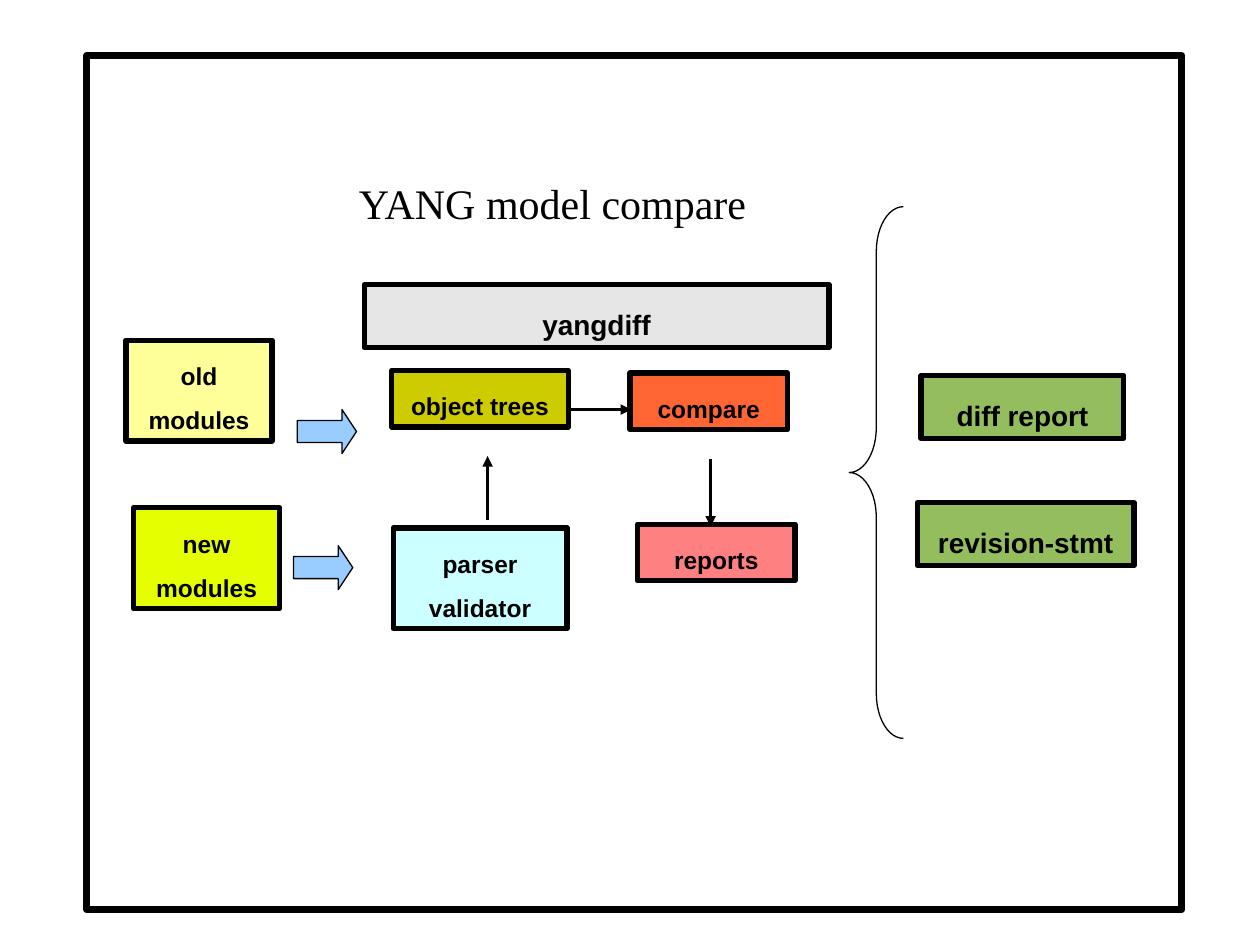
from lxml.etree import SubElement
from pptx import Presentation
from pptx.dml.color import RGBColor
from pptx.enum.shapes import MSO_CONNECTOR, MSO_SHAPE
from pptx.enum.text import MSO_ANCHOR, PP_ALIGN
from pptx.oxml.ns import qn
from pptx.util import Inches, Pt

BLACK = "000000"
SMALL, LARGE = 14, 16

FRAME = (0.69, 0.44, 8.69, 6.78)
TITLE = ("YANG model compare", (2.75, 1.36, 3.31, 0.5))
# lines of text, place, fill, text size
BOXES = [
    (["yangdiff"], (2.89, 2.26, 3.69, 0.5), "E6E6E6", LARGE),
    (["old", "modules"], (1, 2.7, 1.16, 0.8), "FFFF99", SMALL),
    (["new", "modules"], (1.06, 4.03, 1.16, 0.8), "E6FF00", SMALL),
    (["parser", "validator"], (3.12, 4.19, 1.38, 0.8), "CCFFFF", SMALL),
    (["object trees"], (3.11, 2.94, 1.4, 0.45), "CCCC00", SMALL),
    (["reports"], (5.06, 4.16, 1.25, 0.45), "FF8080", SMALL),
    (["compare"], (5, 2.96, 1.25, 0.45), "FF6633", SMALL),
    (["diff report"], (7.31, 2.98, 1.61, 0.5), "94BD5E", LARGE),
    (["revision-stmt"], (7.28, 3.99, 1.72, 0.5), "94BD5E", LARGE),
]
BLOCK_ARROWS = [(2.36, 3.25, 0.47, 0.35), (2.33, 4.33, 0.47, 0.35)]
BRACE = (6.74, 1.64, 0.43, 4.22)
# start x, y and end x, y; the arrowhead is at the end
FLOW = [
    (3.87, 4.13, 3.87, 3.62),
    (4.51, 3.25, 5.01, 3.25),
    (5.64, 3.64, 5.64, 4.18),
]


def rgb(color):
    return RGBColor.from_string(color)


def add_shape(s, kind, place, fill=None, width=0, adjust=()):
    sp = s.shapes.add_shape(kind, *map(Inches, place))
    sp.shadow.inherit = False
    if fill:
        sp.fill.solid()
        sp.fill.fore_color.rgb = rgb(fill)
    else:
        sp.fill.background()
    sp.line.color.rgb = rgb(BLACK)
    sp.line.width = Pt(width)
    for i, value in enumerate(adjust):
        sp.adjustments[i] = value
    return sp


def add_run(p, text, size, font, bold=False):
    r = p.add_run()
    r.text = text
    r.font.size = Pt(size)
    r.font.name = font
    r.font.bold = bold
    r.font.color.rgb = rgb(BLACK)


def add_box(s, lines, place, fill, size):
    tf = add_shape(s, MSO_SHAPE.RECTANGLE, place, fill, width=3).text_frame
    tf.word_wrap = True
    tf.vertical_anchor = MSO_ANCHOR.TOP
    p = tf.paragraphs[0]
    p.alignment = PP_ALIGN.CENTER
    p.line_spacing = 1.5
    for i, line in enumerate(lines):
        if i:
            p.add_line_break()
        add_run(p, line, size, "Arial", bold=True)


def add_arrow(s, ends):
    c = s.shapes.add_connector(MSO_CONNECTOR.STRAIGHT, *map(Inches, ends))
    c.line.color.rgb = rgb(BLACK)
    c.line.width = Pt(0)
    SubElement(c.line._get_or_add_ln(), qn("a:tailEnd"), type="triangle")
    SubElement(c._element.spPr, qn("a:effectLst"))


def main():
    prs = Presentation()
    prs.slide_width, prs.slide_height = Inches(10), Inches(7.5)
    s = prs.slides.add_slide(prs.slide_layouts[6])

    add_shape(s, MSO_SHAPE.RECTANGLE, FRAME, "FFFFFF", width=4)
    text, place = TITLE
    tf = s.shapes.add_textbox(*map(Inches, place)).text_frame
    tf.word_wrap = False
    add_run(tf.paragraphs[0], text, 24, "Times New Roman")

    for box in BOXES:
        add_box(s, *box)
    for place in BLOCK_ARROWS:
        add_shape(s, MSO_SHAPE.RIGHT_ARROW, place, "99CCFF", adjust=(0.5, 0.33))
    add_shape(s, MSO_SHAPE.LEFT_BRACE, BRACE, adjust=(0.83, 0.5))
    for ends in FLOW:
        add_arrow(s, ends)

    prs.save("out.pptx")


if __name__ == "__main__":
    main()
